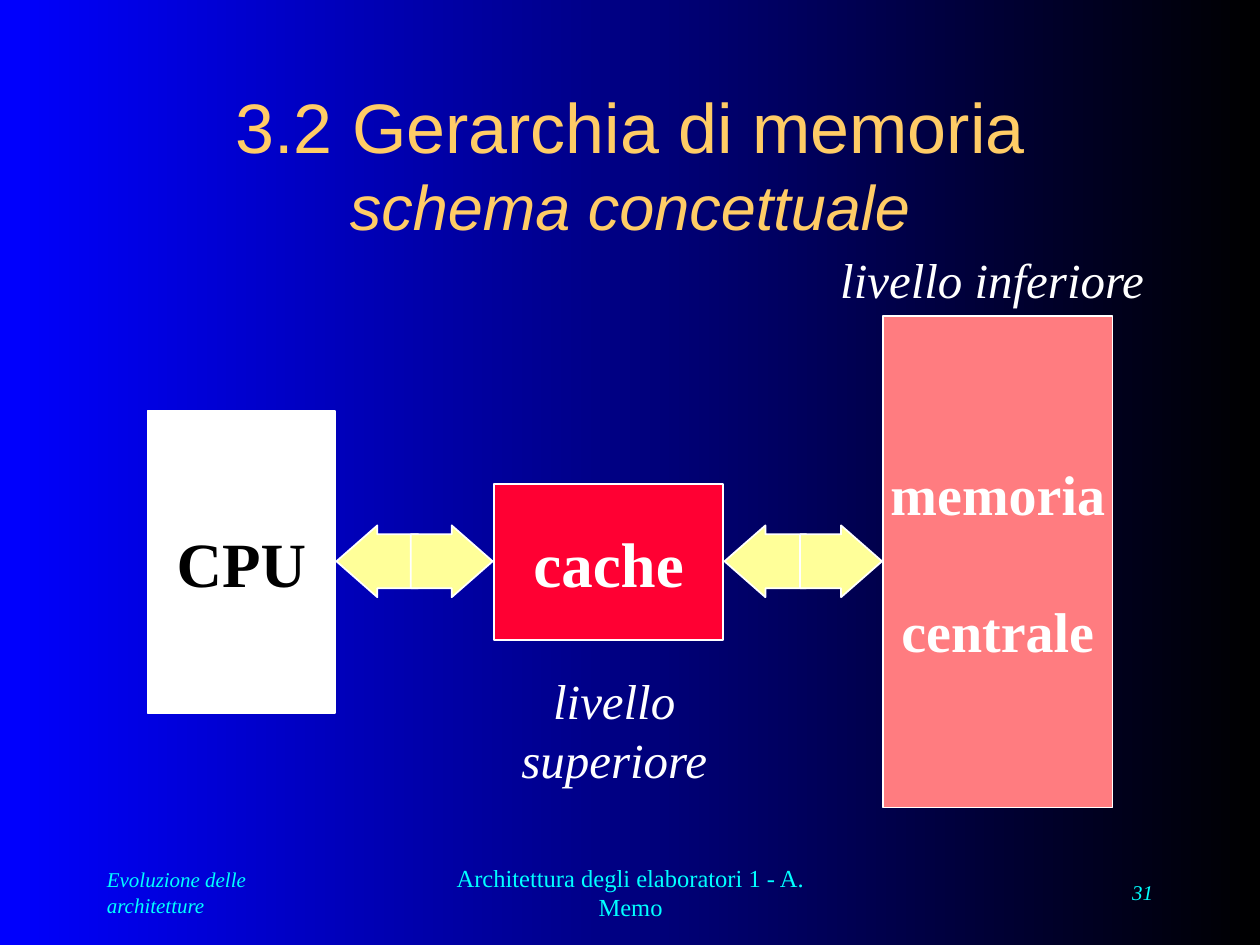
from pptx import Presentation
from pptx.dml.color import RGBColor
from pptx.enum.shapes import MSO_SHAPE as Shape
from pptx.enum.text import MSO_ANCHOR as Anchor, MSO_AUTO_SIZE as AutoSize, PP_ALIGN as Align
from pptx.util import Inches, Pt

SERIF = "Times New Roman"
WHITE, CYAN, GOLD, YELLOW = "FFFFFF", "00FFFF", "FFCC66", "FFFF99"
BACKGROUND = ["0000FF", "000000"]

TITLE = [("3.2 Gerarchia di memoria", 40, False), ("schema concettuale", 36, True)]
FOOTERS = [
    ("Evoluzione delle architetture", 0.75, 2.08, Align.LEFT, 12, True),
    ("Architettura degli elaboratori 1 - A. Memo", 3.42, 3.17, Align.CENTER, 14, False),
    ("31", 7.17, 2.08, Align.RIGHT, 12, True),
]
BLOCKS = [
    (["CPU"], (1.17, 3.26, 1.49, 2.4), WHITE, "000000", 36),
    (["cache"], (3.92, 3.84, 1.82, 1.24), "FF0033", WHITE, 36),
    (["memoria", "centrale"], (7.01, 2.51, 1.82, 3.9), "FF7C80", WHITE, 32),
]
LEVELS = [
    (["livello", "superiore"], (4.03, 5.27, 1.69, 1.04)),
    (["livello inferiore"], (6.56, 1.93, 2.63, 0.57)),
]
ARROW_TOP, ARROW_WIDTH, ARROW_HEIGHT = 4.17, 0.65, 0.57
ARROW_INSET = 0.01
BLOCK_PARAGRAPH_GAP = 40


def colour(value):
    return RGBColor.from_string(value)


def set_font(font, size, value, name=SERIF, bold=False, italic=False):
    font.name, font.size = name, Pt(size)
    font.bold, font.italic = bold, italic
    font.color.rgb = colour(value)


def write(shape, lines, size, value, align=Align.CENTER, anchor=Anchor.MIDDLE, gap=0, **style):
    frame = shape.text_frame
    frame.word_wrap = False
    frame.vertical_anchor = anchor
    for index, line in enumerate(lines):
        para = frame.add_paragraph() if index else frame.paragraphs[0]
        para.text = line
        para.alignment = align
        if index and gap:
            para.space_before = Pt(gap)
        set_font(para.font, size, value, **style)


def add_solid(page, kind, place, fill):
    shape = page.shapes.add_shape(kind, *map(Inches, place))
    shape.shadow.inherit = False
    shape.fill.solid()
    shape.fill.fore_color.rgb = colour(fill)
    shape.line.color.rgb = colour(WHITE)
    shape.line.width = Pt(1)
    return shape


def add_label(page, place, lines, *args, **style):
    box = page.shapes.add_textbox(*map(Inches, place))
    write(box, lines, *args, **style)


def add_title(page):
    title = page.shapes.title
    title.left, title.top, title.width, title.height = map(Inches, (0.75, 0.67, 8.5, 1.25))
    frame = title.text_frame
    frame.auto_size = AutoSize.NONE
    frame.vertical_anchor = Anchor.MIDDLE
    para = frame.paragraphs[0]
    para.alignment = Align.CENTER
    for index, (text, size, italic) in enumerate(TITLE):
        if index:
            para.add_line_break()
        span = para.add_run()
        span.text = text
        set_font(span.font, size, GOLD, name="Arial", italic=italic)


def add_double_arrow(page, start, end):
    sides = [
        (Shape.LEFT_ARROW, start + ARROW_INSET),
        (Shape.RIGHT_ARROW, end - ARROW_INSET - ARROW_WIDTH),
    ]
    for kind, left in sides:
        arrow = add_solid(page, kind, (left, ARROW_TOP, ARROW_WIDTH, ARROW_HEIGHT), YELLOW)
        arrow.adjustments[0] = 0.75
        arrow.adjustments[1] = 0.57


def main():
    deck = Presentation()
    deck.slide_width, deck.slide_height = Inches(10), Inches(7.5)
    page = deck.slides.add_slide(deck.slide_layouts[5])

    fill = page.background.fill
    fill.gradient()
    fill.gradient_angle = 0
    for stop, value, position in zip(fill.gradient_stops, BACKGROUND, (0, 1)):
        stop.color.rgb = colour(value)
        stop.position = position

    add_title(page)
    for text, left, width, align, size, italic in FOOTERS:
        add_label(page, (left, 6.83, width, 0.5), [text], size, CYAN, align, italic=italic)
    for lines, place, block_fill, value, size in BLOCKS:
        block = add_solid(page, Shape.RECTANGLE, place, block_fill)
        write(block, lines, size, value, gap=BLOCK_PARAGRAPH_GAP, bold=True)
    for (_, before, *_), (_, after, *_) in zip(BLOCKS, BLOCKS[1:]):
        add_double_arrow(page, before[0] + before[2], after[0])
    for lines, place in LEVELS:
        add_label(page, place, lines, 28, WHITE, anchor=Anchor.TOP, italic=True)

    deck.save("out.pptx")


if __name__ == "__main__":
    main()
